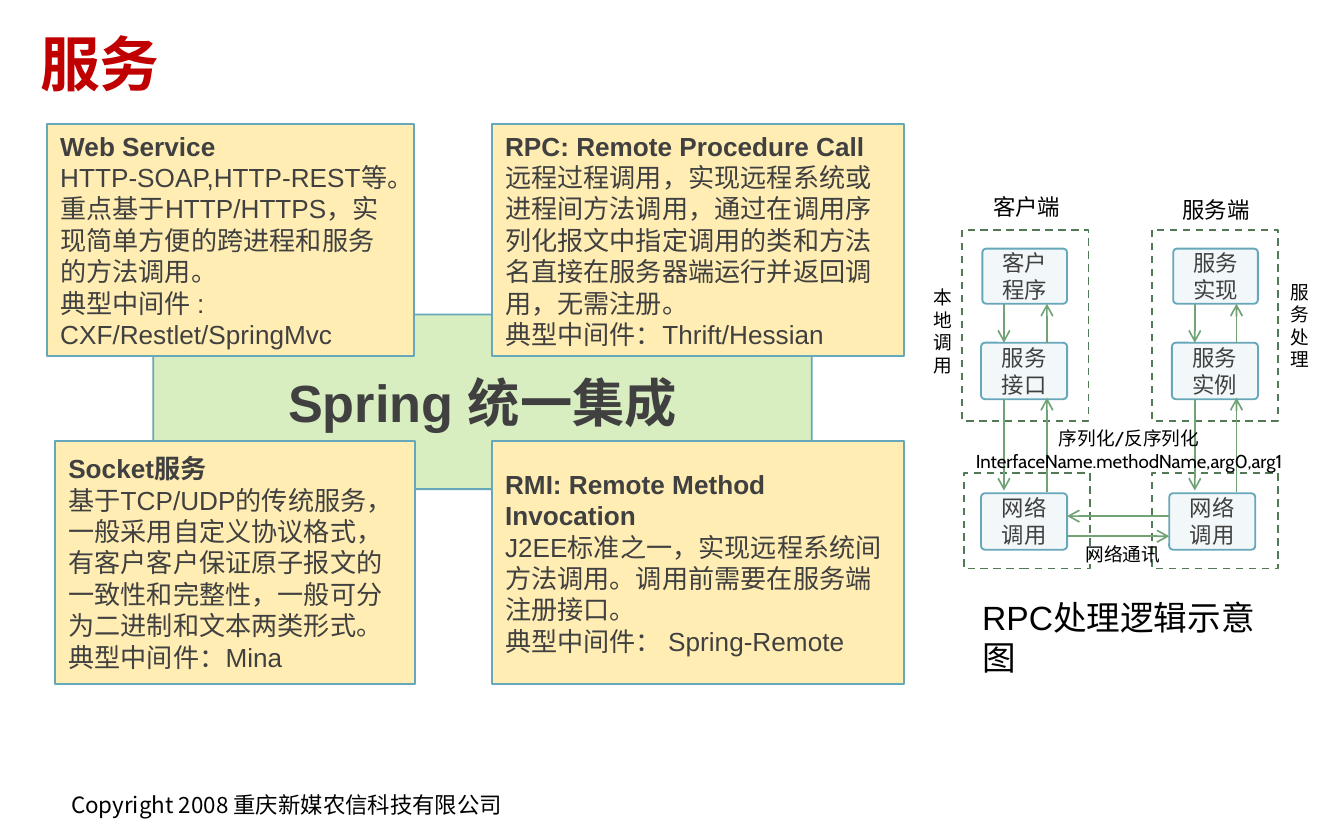
import pptx
import pptx.util
import pptx.dml.color
import pptx.enum.dml
import pptx.enum.shapes
import pptx.enum.text
import pptx.oxml
import pptx.oxml.ns
from lxml import etree

PX = pptx.util.Inches(1) // 100
RGBColor = pptx.dml.color.RGBColor
Shape = pptx.enum.shapes.MSO_SHAPE
Align = pptx.enum.text.PP_ALIGN
Anchor = pptx.enum.text.MSO_ANCHOR
qn = pptx.oxml.ns.qn

BLACK = RGBColor(0x00, 0x00, 0x00)
RED = RGBColor(0xC0, 0x00, 0x00)
DARK_GRAY = RGBColor(0x40, 0x40, 0x40)
TEAL = RGBColor(0x66, 0xA7, 0xB9)
LIME = RGBColor(0x92, 0xD0, 0x50)
CREAM = RGBColor(0xFF, 0xED, 0xB3)
PALE_BLUE = RGBColor(0xDC, 0xEB, 0xEF)
FOREST = RGBColor(0x54, 0x79, 0x57)
ARROW_GREEN = RGBColor(0x72, 0xA3, 0x76)


def write(shape, lines, size, font, color, align=Align.LEFT, bold_lines=0, wrap=True):
    frame = shape.text_frame
    frame.word_wrap = wrap
    for index, line in enumerate(lines):
        paragraph = frame.paragraphs[0] if index == 0 else frame.add_paragraph()
        paragraph.text = line
        paragraph.alignment = align
        paragraph.font.size = pptx.util.Pt(size)
        paragraph.font.name = font
        paragraph.font.bold = index < bold_lines
        paragraph.font.color.rgb = color


def add_box(kind, left, top, width, height, line_color, fill=None, alpha=None, corner=None):
    shape = slide.shapes.add_shape(kind, left * PX, top * PX, width * PX, height * PX)
    shape.shadow.inherit = False
    shape.line.color.rgb = line_color
    shape.line.width = pptx.util.Pt(1)
    shape.text_frame.vertical_anchor = Anchor.MIDDLE
    if corner is not None:
        shape.adjustments[0] = corner
    if fill is None:
        shape.fill.background()
    else:
        shape.fill.solid()
        shape.fill.fore_color.rgb = fill
    if alpha is not None:
        color_element = shape.fill._xPr.find(qn("a:solidFill"))[0]
        etree.SubElement(color_element, qn("a:alpha"), val=str(alpha * 1000))
    return shape


presentation = pptx.Presentation()
presentation.slide_width = 1000 * PX
presentation.slide_height = 625 * PX
slide = presentation.slides.add_slide(presentation.slide_layouts[6])

hub = add_box(Shape.ROUNDED_RECTANGLE, 114, 234, 490, 130, TEAL, LIME, 35, 0.06)
write(hub, ["Spring 统一集成"], 28, "Arial", DARK_GRAY, Align.CENTER, 1)

services = [
    (366, 92, 307, 173, [
        "RPC: Remote Procedure Call",
        "远程过程调用，实现远程系统或进程间方法调用，通过在调用序列化报文中指定调用的类和方法名直接在服务器端运行并返回调用，无需注册。",
        "典型中间件：Thrift/Hessian"]),
    (35, 92, 273, 173, [
        "Web Service",
        "HTTP-SOAP,HTTP-REST等。重点基于HTTP/HTTPS，实现简单方便的跨进程和服务的方法调用。",
        "典型中间件 : CXF/Restlet/SpringMvc"]),
    (366, 328, 307, 181, [
        "RMI: Remote Method Invocation",
        "J2EE标准之一，实现远程系统间方法调用。调用前需要在服务端注册接口。",
        "典型中间件： Spring-Remote"]),
    (41, 328, 268, 181, [
        "Socket服务",
        "基于TCP/UDP的传统服务，一般采用自定义协议格式，有客户客户保证原子报文的一致性和完整性，一般可分为二进制和文本两类形式。",
        "典型中间件：Mina"]),
]
for left, top, width, height, lines in services:
    card = add_box(Shape.RECTANGLE, left, top, width, height, TEAL, CREAM)
    write(card, lines, 14, "Arial", DARK_GRAY, bold_lines=1)

for left, top, height in [(716, 171, 142), (857, 171, 142), (717, 352, 71), (857, 352, 71)]:
    zone = add_box(Shape.RECTANGLE, left, top, 94, height, FOREST)
    zone.line.dash_style = pptx.enum.dml.MSO_LINE.DASH

steps = [
    (731, 185, 63, 41, "客户程序"),
    (730, 255, 64, 42, "服务接口"),
    (730, 367, 64, 42, "网络调用"),
    (873, 185, 63, 41, "服务实现"),
    (872, 255, 64, 42, "服务实例"),
    (870, 367, 64, 42, "网络调用"),
]
for left, top, width, height, name in steps:
    step = add_box(Shape.ROUNDED_RECTANGLE, left, top, width, height, TEAL, PALE_BLUE, 35, 0.07)
    write(step, [name], 12, "Arial", DARK_GRAY, Align.CENTER)

arrows = [(794, 399, 870, 399), (870, 384, 794, 384)]
for down_x, up_x in [(747, 779), (889, 920)]:
    arrows += [
        (down_x, 226, down_x, 255),
        (down_x, 297, down_x, 365),
        (up_x, 366, up_x, 296),
        (up_x, 255, up_x, 226),
    ]
for start_x, start_y, end_x, end_y in arrows:
    arrow = slide.shapes.add_connector(
        pptx.enum.shapes.MSO_CONNECTOR.STRAIGHT,
        start_x * PX, start_y * PX, end_x * PX, end_y * PX)
    arrow.line.color.rgb = ARROW_GREEN
    arrow.line.width = pptx.util.Pt(0.9)
    etree.SubElement(arrow.line._get_or_add_ln(), qn("a:tailEnd"), type="arrow")
    etree.SubElement(arrow._element.spPr, qn("a:effectLst"))

labels = [
    (729, 139, 71, 30, ["客户端"], 12, "Cabin", Align.LEFT, False),
    (870, 141, 71, 30, ["服务端"], 12, "Cabin", Align.LEFT, False),
    (798, 399, 76, 27, ["网络通讯"], 10, "Cabin", Align.LEFT, False),
    (685, 208, 31, 77, ["本地调用"], 10, "Cabin", Align.LEFT, True),
    (950, 204, 31, 77, ["服务处理"], 10, "Cabin", Align.LEFT, True),
    (700, 313, 280, 44, ["序列化/反序列化", "InterfaceName.methodName,arg0,arg1"],
     10, "Cabin", Align.CENTER, True),
    (721, 439, 246, 40, ["RPC处理逻辑示意图"], 18, "Arial", Align.LEFT, True),
    (43, 584, 349, 29, ["Copyright 2008 重庆新媒农信科技有限公司"],
     12, "Noto Sans CJK SC", Align.LEFT, False),
]
for left, top, width, height, lines, size, font, align, wrap in labels:
    label = slide.shapes.add_textbox(left * PX, top * PX, width * PX, height * PX)
    write(label, lines, size, font, BLACK, align, wrap=wrap)

title = slide.shapes.add_textbox(20 * PX, 13 * PX, 957 * PX, 67 * PX)
title.text_frame.vertical_anchor = Anchor.MIDDLE
write(title, ["服务"], 32, "Noto Sans CJK SC", RED, bold_lines=1)

presentation.save("out.pptx")
